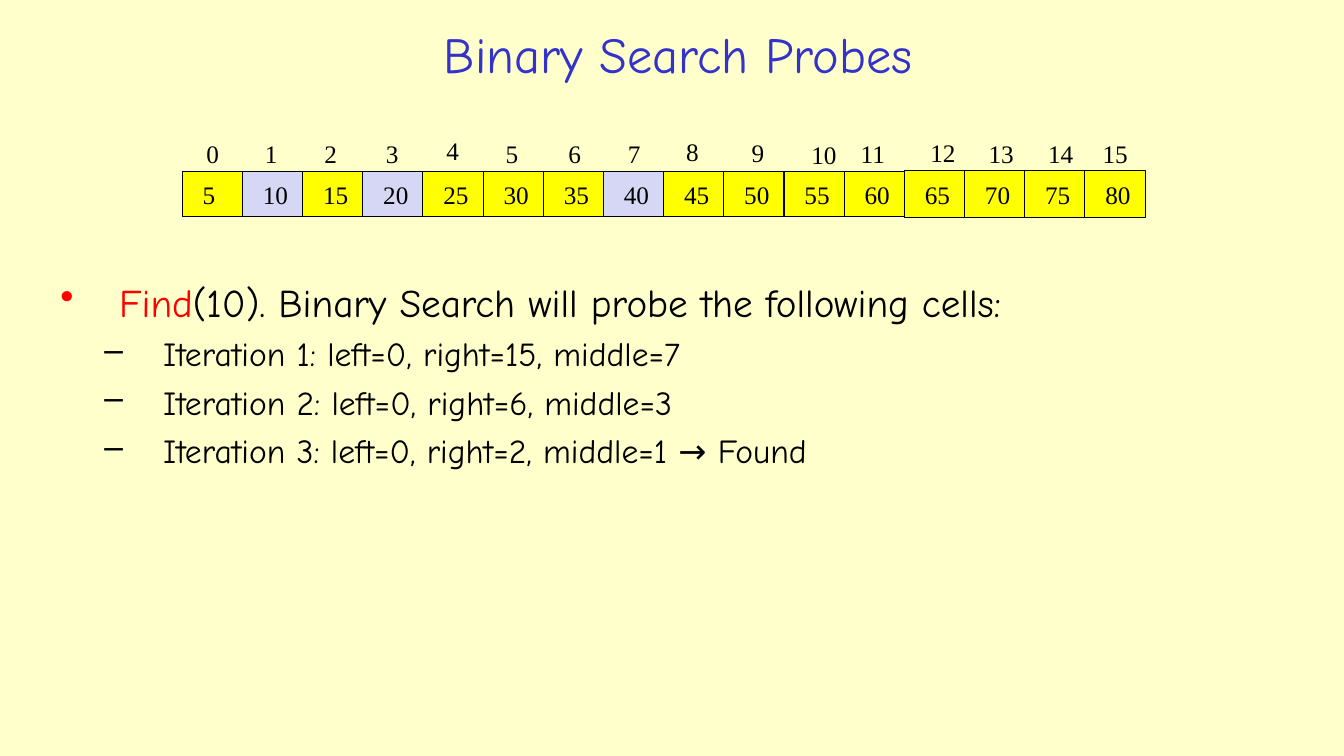
import pptx
import pptx.util
import pptx.dml.color
import pptx.enum.shapes
import pptx.enum.text
import lxml.etree
import pptx.oxml.ns

Pt = pptx.util.Pt
RGBColor = pptx.dml.color.RGBColor
MSO_ANCHOR = pptx.enum.text.MSO_ANCHOR
PP_ALIGN = pptx.enum.text.PP_ALIGN
MSO_AUTO_SIZE = pptx.enum.text.MSO_AUTO_SIZE

# Content
TITLE = "Binary Search Probes"
VALUES = range(5, 85, 5)
PROBED = (1, 3, 7)
INDEX_LEFTS = (140.4, 182.2, 224.6, 268.6, 311.8, 354.2, 398.9, 441.4,
               483.1, 529.9, 572.4, 607.7, 657.4, 699.1, 741.6, 780.5)
INDEX_TOP = 95
INDEX_TOPS = {4: 92.9, 8: 93.6, 9: 94.3, 10: 95.8, 12: 94.3}
# (level, size, ((text, is highlighted), ...))
LINES = [
    (0, 28, (("Find", True),
             ("(10). Binary Search will probe the following cells:", False))),
    (1, 24, (("Iteration 1: left=0, right=15, middle=7", False),)),
    (1, 24, (("Iteration 2: left=0, right=6, middle=3", False),)),
    (1, 24, (("Iteration 3: left=0, right=2, middle=1 → Found", False),)),
]
BULLETS = (("•", 42), ("–", 73.5))  # character and left margin per level
HANG = 42

# Style
HEAD_FONT = "Comic Neue"
CELL_FONT = "Times New Roman"
CREAM = RGBColor(0xFF, 0xFF, 0xCC)
BLUE = RGBColor(0x33, 0x33, 0xCC)
YELLOW = RGBColor(0xFF, 0xFF, 0x00)
LILAC = RGBColor(0xD6, 0xD6, 0xF5)
RED = RGBColor(0xFF, 0x00, 0x00)
BLACK = RGBColor(0x00, 0x00, 0x00)

# Cell row
ROW_LEFT, ROW_TOP, PITCH, CELL_W, CELL_H = 130.2, 122.4, 42.98, 43, 32.4
TALL_FROM, TALL_TOP, TALL_H = 12, 121.7, 33.8


def style(r, font, size, color):
    r.font.name = font
    r.font.size = Pt(size)
    r.font.color.rgb = color


def add_index(s, i):
    width = 23.8 if i < 10 else 32.4
    sp = s.shapes.add_textbox(Pt(INDEX_LEFTS[i]), Pt(INDEX_TOPS.get(i, INDEX_TOP)),
                              Pt(width), Pt(29))
    tf = sp.text_frame
    tf.word_wrap = False
    tf.text = str(i)
    style(tf.paragraphs[0].runs[0], CELL_FONT, 18, BLACK)


def add_cell(s, i, value):
    top, height = (ROW_TOP, CELL_H) if i < TALL_FROM else (TALL_TOP, TALL_H)
    sp = s.shapes.add_shape(pptx.enum.shapes.MSO_SHAPE.RECTANGLE,
                            Pt(ROW_LEFT + i * PITCH), Pt(top), Pt(CELL_W), Pt(height))
    sp.shadow.inherit = False
    sp.fill.solid()
    sp.fill.fore_color.rgb = LILAC if i in PROBED else YELLOW
    sp.line.color.rgb = BLACK
    sp.line.width = Pt(0.75)
    tf = sp.text_frame
    tf.word_wrap = False
    tf.vertical_anchor = MSO_ANCHOR.MIDDLE
    tf.margin_left = Pt(14.6)
    tf.margin_right = tf.margin_top = tf.margin_bottom = 0
    tf.text = str(value)
    p = tf.paragraphs[0]
    p.alignment = PP_ALIGN.LEFT
    style(p.runs[0], CELL_FONT, 18, BLACK)


def add_bullet(p, level):
    char, margin = BULLETS[level]
    p.level = level
    pPr = p._p.get_or_add_pPr()
    pPr.set("marL", str(Pt(margin)))
    pPr.set("indent", str(-Pt(HANG)))
    bu = lxml.etree.SubElement(pPr, pptx.oxml.ns.qn("a:buChar"))
    bu.set("char", char)


def main():
    prs = pptx.Presentation()
    prs.slide_width, prs.slide_height = Pt(960), Pt(540)
    s = prs.slides.add_slide(prs.slide_layouts[5])
    s.background.fill.solid()
    s.background.fill.fore_color.rgb = CREAM

    # Title
    sp = s.shapes.title
    sp.left, sp.top, sp.width, sp.height = Pt(26), Pt(10.8), Pt(917), Pt(54.7)
    tf = sp.text_frame
    tf.text = TITLE
    tf.auto_size = MSO_AUTO_SIZE.NONE
    tf.vertical_anchor = MSO_ANCHOR.MIDDLE
    tf.paragraphs[0].alignment = PP_ALIGN.CENTER
    style(tf.paragraphs[0].runs[0], HEAD_FONT, 36, BLUE)

    # Array with its indices
    for i, value in enumerate(VALUES):
        add_index(s, i)
        add_cell(s, i, value)

    # Probe steps
    sp = s.shapes.add_textbox(Pt(36), Pt(195), Pt(894), Pt(173))
    tf = sp.text_frame
    tf.word_wrap = True
    for n, (level, size, parts) in enumerate(LINES):
        p = tf.paragraphs[0] if n == 0 else tf.add_paragraph()
        add_bullet(p, level)
        if n:
            p.space_before = Pt(5.8)
        for text, highlighted in parts:
            r = p.add_run()
            r.text = text
            style(r, HEAD_FONT, size, RED if highlighted else BLACK)

    prs.save("out.pptx")


if __name__ == "__main__":
    main()
